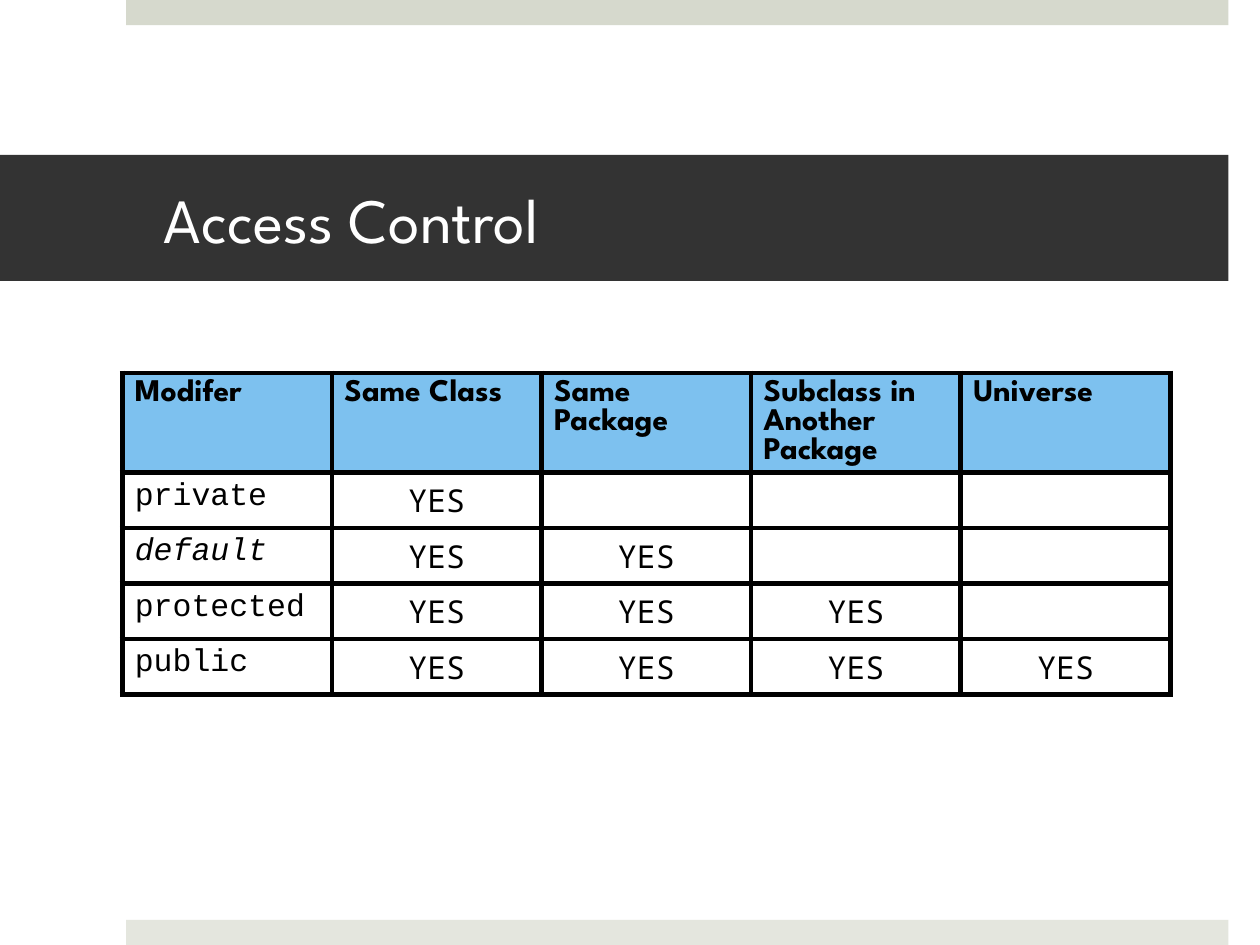
from typing import NamedTuple, Optional

from lxml.etree import SubElement
from pptx import Presentation
from pptx.dml.color import RGBColor
from pptx.enum.shapes import MSO_SHAPE as Shape
from pptx.enum.text import MSO_ANCHOR as Anchor, PP_ALIGN as Align
from pptx.oxml.ns import qn
from pptx.util import Inches, Pt

WHITE = RGBColor(0xFF, 0xFF, 0xFF)
BLACK = RGBColor(0, 0, 0)
CHARCOAL = RGBColor(0x33, 0x33, 0x33)
SAGE = RGBColor(0xD6, 0xD9, 0xCD)
PALE_SAGE = RGBColor(0xE4, 0xE6, 0xDE)
SKY = RGBColor(0x7D, 0xC1, 0xEF)

HEADING_FONT = "League Spartan"
CODE_FONT = "Courier New"
MARK_FONT = "Noto Sans Mono"

SLIDE_W, SLIDE_H = 10, 7.5
BAND_RIGHT, EDGE_H = 9.75, 0.2
TABLE_LEFT, TABLE_TOP, TABLE_W = 0.97, 2.96, 8.32
HEADER_H, ROW_H = 0.79, 0.44


class Band(NamedTuple):
    left: float
    top: float
    height: float
    color: RGBColor


class Modifier(NamedTuple):
    name: str
    scopes: int
    italic: bool = False


EDGES = [Band(1, 0, EDGE_H, SAGE), Band(1, SLIDE_H - EDGE_H, EDGE_H, PALE_SAGE)]
TITLE_BAND = Band(0, 1.23, 1, CHARCOAL)
HEADERS = ["Modifer", "Same Class", "Same Package", "Subclass in Another Package", "Universe"]
MODIFIERS = [
    Modifier("private", 1),
    Modifier("default", 2, italic=True),
    Modifier("protected", 3),
    Modifier("public", 4),
]


def add_band(slide, band: Band):
    """Draw a flat bar that ends at the common right edge."""
    sp = slide.shapes.add_shape(
        Shape.RECTANGLE, Inches(band.left), Inches(band.top),
        Inches(BAND_RIGHT - band.left), Inches(band.height))
    sp.shadow.inherit = False
    sp.fill.solid()
    sp.fill.fore_color.rgb = band.color
    sp.line.fill.background()
    return sp


def write(p, text: str, font: str, size: float, color: RGBColor,
          align: Align = Align.LEFT, bold: bool = False, italic: bool = False) -> None:
    p.text = text
    p.alignment = align
    f = p.font
    f.name, f.size, f.bold, f.italic = font, Pt(size), bold, italic
    f.color.rgb = color


def add_title(slide, text: str) -> None:
    tf = add_band(slide, TITLE_BAND).text_frame
    tf.word_wrap = True
    tf.vertical_anchor = Anchor.MIDDLE
    tf.margin_left, tf.margin_right = Inches(1.3), Inches(0.3)
    write(tf.paragraphs[0], text, HEADING_FONT, 36, WHITE)


def style_cell(cell, fill: Optional[RGBColor]) -> None:
    """Give a cell its black borders and its fill, if any."""
    props = cell._tc.get_or_add_tcPr()
    for side in ("a:lnL", "a:lnR", "a:lnT", "a:lnB"):
        line = SubElement(props, qn(side), w=str(Pt(3)))
        paint = SubElement(line, qn("a:solidFill"))
        SubElement(paint, qn("a:srgbClr"), val=str(BLACK))
    if fill is None:
        cell.fill.background()
    else:
        cell.fill.solid()
        cell.fill.fore_color.rgb = fill


def add_access_table(slide) -> None:
    n_rows, n_cols = len(MODIFIERS) + 1, len(HEADERS)
    table = slide.shapes.add_table(
        n_rows, n_cols, Inches(TABLE_LEFT), Inches(TABLE_TOP),
        Inches(TABLE_W), Inches(HEADER_H + ROW_H * len(MODIFIERS))).table
    table.first_row = table.horz_banding = False
    for column in table.columns:
        column.width = Inches(TABLE_W / n_cols)
    for r, row in enumerate(table.rows):
        row.height = Inches(ROW_H if r else HEADER_H)
        for cell in row.cells:
            style_cell(cell, None if r else SKY)

    for c, header in enumerate(HEADERS):
        p = table.cell(0, c).text_frame.paragraphs[0]
        write(p, header, HEADING_FONT, 18, BLACK, bold=True)
    for r, modifier in enumerate(MODIFIERS, start=1):
        p = table.cell(r, 0).text_frame.paragraphs[0]
        write(p, modifier.name, CODE_FONT, 18, BLACK, italic=modifier.italic)
        for c in range(1, modifier.scopes + 1):
            p = table.cell(r, c).text_frame.paragraphs[0]
            write(p, "YES", MARK_FONT, 18, BLACK, Align.CENTER)


def main() -> None:
    prs = Presentation()
    prs.slide_width, prs.slide_height = Inches(SLIDE_W), Inches(SLIDE_H)
    slide = prs.slides.add_slide(prs.slide_layouts[6])
    for band in EDGES:
        add_band(slide, band)
    add_title(slide, "Access Control")
    add_access_table(slide)
    prs.save("out.pptx")


if __name__ == "__main__":
    main()
